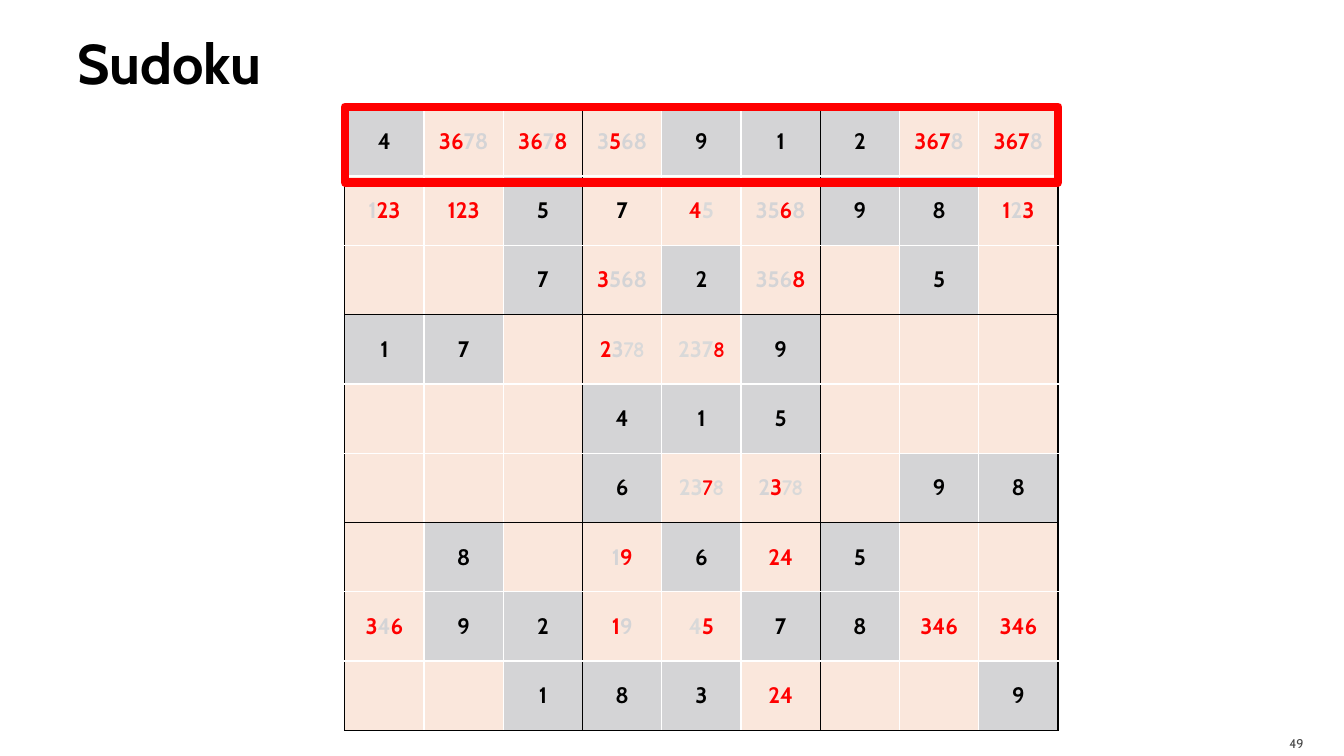
from lxml import etree
from pptx import Presentation, util as u
from pptx.dml.color import RGBColor
from pptx.enum import shapes, text
from pptx.oxml.ns import qn

HUES = {"black": "000000", "white": "FFFFFF", "red": "FF0000", "gray": "D4D4D6",
        "pale": "D9D9D9", "peach": "FAE7DC", "dark": "454545"}

# Each letter starts a run: (colour, font). A bare digit is a given number.
MARKS = {"k": ("black", "Cabin"), "r": ("red", "Cabin"), "f": ("gray", "Cabin"),
         "p": ("pale", "Cabin"), "c": ("pale", "Comic Neue"), "x": ("red", "Comic Neue")}

GRID = """
4       r36f78  r36f7r8  f3r5f68   9        1         2   r367f8  r367f8
f1r23   r123    5        k7        r4p5     f35r6f8   9   8       r1f2r3
.       .       7        r3f568    2        f356r8    .   5       .
1       7       .        r2f3c78   p237x8   9         .   .       .
.       .       .        4         1        5         .   .       .
.       .       .        6         p23x7c8  f2r3c78   .   9       8
.       8       .        f1r9      6        r24       5   .       .
r3f4r6  9       2        r1f9      p4r5     7         8   r346    r346
.       .       1        8         3        r24       .   .       9
"""


def rgb(name):
    return RGBColor.from_string(HUES[name])


def write(para, words, size=16, hue="black", font="Cabin", bold=True, align="CENTER"):
    para.alignment = getattr(text.PP_ALIGN, align)
    run = para.add_run()
    run.text = words
    run.font.size = u.Pt(size)
    run.font.name = font
    run.font.bold = bold
    run.font.color.rgb = rgb(hue)


def pad(frame, left, top, right, bottom):
    """Set the insets, in centimetres, and centre the text upright."""
    frame.margin_left, frame.margin_top = u.Cm(left), u.Cm(top)
    frame.margin_right, frame.margin_bottom = u.Cm(right), u.Cm(bottom)
    frame.vertical_anchor = text.MSO_ANCHOR.MIDDLE
    frame.word_wrap = True


def head(slide, words, *box):
    title = slide.shapes.title
    title.left, title.top, title.width, title.height = map(u.Cm, box)
    pad(title.text_frame, 0.25, 0.13, 0.13, 0.13)
    write(title.text_frame.paragraphs[0], words, size=40, align="LEFT")


def foot(slide, words, *box):
    frame = slide.shapes.add_textbox(*map(u.Cm, box)).text_frame
    pad(frame, 0.25, 0.13, 0.25, 0)
    write(frame.paragraphs[0], words, size=9, hue="dark", bold=False, align="RIGHT")


def edge(cell, row, col):
    """Draw black lines around each block of three by three, white ones inside."""
    props = cell._tc.get_or_add_tcPr()
    sides = {"L": col % 3 == 0, "R": col % 3 == 2, "T": row % 3 == 0, "B": row % 3 == 2}
    for side, outer in sides.items():
        line = etree.SubElement(props, qn("a:ln" + side), w=str(u.Pt(1)))
        fill = etree.SubElement(line, qn("a:solidFill"))
        etree.SubElement(fill, qn("a:srgbClr"), val=HUES["black" if outer else "white"])


def split(code):
    """Turn a code such as r36f78 into a list of [mark, digits]."""
    runs = []
    for sign in code:
        if sign in MARKS:
            runs.append([sign, ""])
        else:
            runs[-1][1] += sign
    return runs


def board(slide, left, top, wide, high):
    rows = [line.split() for line in GRID.strip().splitlines()]
    size = len(rows)
    table = slide.shapes.add_table(size, size, *map(u.Cm, (left, top, wide, high))).table
    table.first_row = table.horz_banding = False
    for row, codes in enumerate(rows):
        table.rows[row].height = u.Cm(high / size)
        table.columns[row].width = u.Cm(wide / size)
        for col, code in enumerate(codes):
            cell = table.cell(row, col)
            given = code.isdigit()
            edge(cell, row, col)
            cell.fill.solid()
            cell.fill.fore_color.rgb = rgb("gray" if given else "peach")
            cell.vertical_anchor = text.MSO_ANCHOR.MIDDLE
            if code == ".":
                continue
            for mark, digits in split("k" + code if given else code):
                hue, font = MARKS[mark]
                write(cell.text_frame.paragraphs[0], digits, hue=hue, font=font)


def frame_row(slide, *box):
    frame = slide.shapes.add_shape(shapes.MSO_SHAPE.RECTANGLE, *map(u.Cm, box))
    frame.shadow.inherit = False
    frame.fill.background()
    frame.line.color.rgb = rgb("red")
    frame.line.width = u.Pt(6)
    etree.SubElement(frame.line._get_or_add_ln(), qn("a:round"))


def main():
    deck = Presentation()
    deck.slide_width, deck.slide_height = u.Cm(33.87), u.Cm(19.05)
    slide = deck.slides.add_slide(deck.slide_layouts[5])
    left, top, wide, high = 8.69, 2.69, 17.98, 15.72
    head(slide, "Sudoku", 1.7, 0.2, 30.48, 2.74)
    foot(slide, "49", 30.38, 18.29, 2.72, 0.76)
    board(slide, left, top, wide, high)
    frame_row(slide, left, top, wide, 1.91)
    deck.save("out.pptx")


if __name__ == "__main__":
    main()
